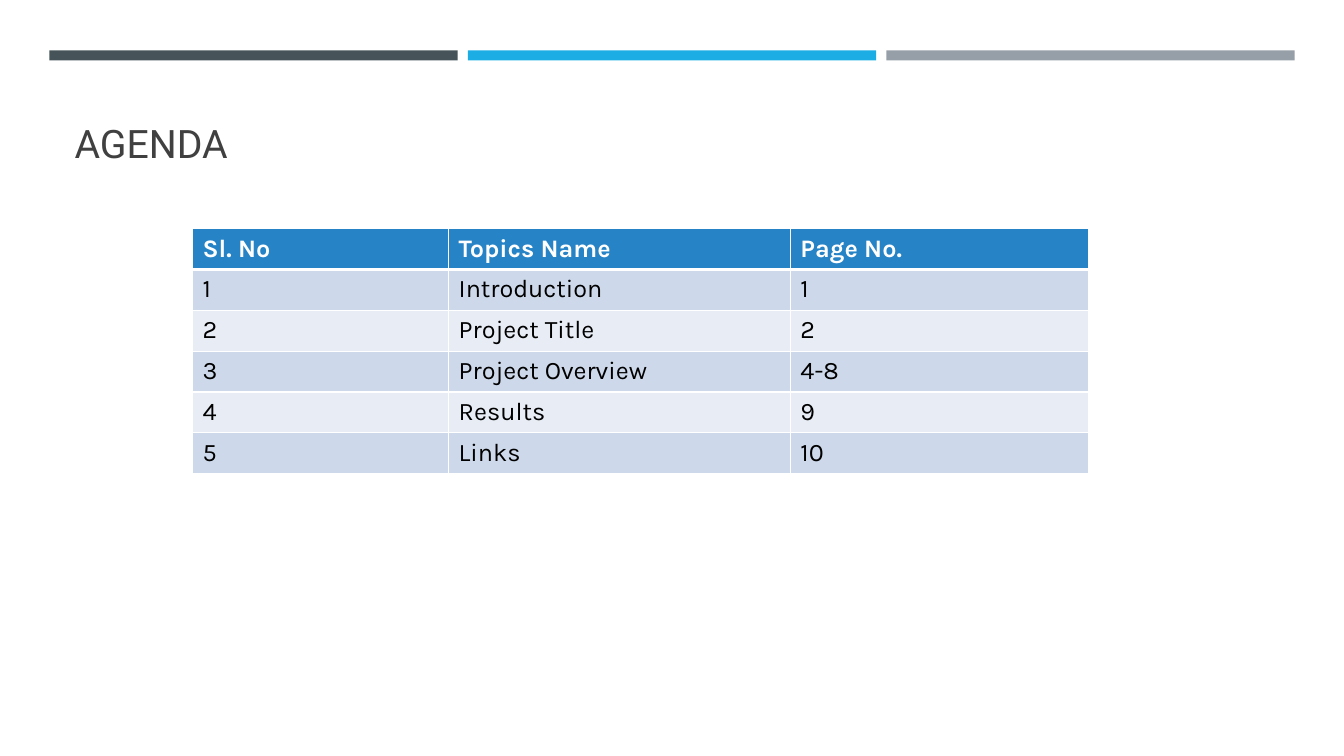
from pptx import Presentation
from pptx import util as u
from pptx.dml.color import RGBColor
from pptx.enum import shapes, text
from pptx.oxml import parse_xml
from pptx.oxml.ns import nsdecls

TITLE = "AGENDA"
BARS = ["465359", "1CADE4", "969FA7"]
ROWS = [
    ("Sl. No", "Topics Name", "Page No."),
    ("1", "Introduction", "1"),
    ("2", "Project Title", "2"),
    ("3", "Project Overview", "4-8"),
    ("4", "Results", "9"),
    ("5", "Links", "10"),
]
COLS = [2.54, 3.39, 2.96]
HEAD, BANDS = "2683C6", ["E8EDF5", "CDD9EA"]
WIDE, HIGH = 13.33, 7.5
EDGE, GAP = 0.49, 0.1
TABLE_X, TABLE_Y, TABLE_H = 1.91, 2.27, 2.43


def color(code):
    return RGBColor.from_string(code)


def box(*sides):
    return [u.Inches(side) for side in sides]


def write(para, words, font, size, code, bold=False):
    run = para.add_run()
    run.text = words
    run.font.name = font
    run.font.size = u.Pt(size)
    run.font.bold = bold
    run.font.color.rgb = color(code)


def rule(cell, base):
    """Draw white cell borders, with the bottom one base points wide."""
    props = cell._tc.get_or_add_tcPr()
    for side, width in zip("LRTB", (1, 1, 1, base)):
        props.append(parse_xml(
            f'<a:ln{side} {nsdecls("a")} w="{u.Pt(width)}"><a:solidFill>'
            f'<a:srgbClr val="FFFFFF"/></a:solidFill></a:ln{side}>'))


def add_bars(slide):
    width = (WIDE - 2 * EDGE - 2 * GAP) / len(BARS)
    for i, code in enumerate(BARS):
        bar = slide.shapes.add_shape(
            shapes.MSO_SHAPE.RECTANGLE,
            *box(EDGE + i * (width + GAP), 0.5, width, 0.1))
        bar.shadow.inherit = False
        bar.fill.solid()
        bar.fill.fore_color.rgb = color(code)
        bar.line.fill.background()


def add_title(slide):
    title = slide.shapes.title
    title.left, title.top, title.width, title.height = box(0.64, 0.77, 12.06, 1.3)
    frame = title.text_frame
    frame.vertical_anchor = text.MSO_ANCHOR.MIDDLE
    para = frame.paragraphs[0]
    para.alignment = text.PP_ALIGN.LEFT
    write(para, TITLE, "Roboto", 28, "404040")


def add_agenda(slide):
    table = slide.shapes.add_table(
        len(ROWS), len(COLS),
        *box(TABLE_X, TABLE_Y, sum(COLS), TABLE_H)).table
    for col, width in zip(table.columns, COLS):
        col.width = u.Inches(width)
    for r, row in enumerate(ROWS):
        table.rows[r].height = u.Inches(TABLE_H / len(ROWS))
        top = r == 0
        for c, words in enumerate(row):
            cell = table.cell(r, c)
            rule(cell, 3 if top else 1)
            cell.fill.solid()
            cell.fill.fore_color.rgb = color(HEAD if top else BANDS[r % 2])
            write(cell.text_frame.paragraphs[0], words, "Karla", 18,
                  "FFFFFF" if top else "000000", top)


def main():
    deck = Presentation()
    deck.slide_width, deck.slide_height = box(WIDE, HIGH)
    slide = deck.slides.add_slide(deck.slide_layouts[5])
    add_bars(slide)
    add_title(slide)
    add_agenda(slide)
    deck.save("out.pptx")


if __name__ == "__main__":
    main()
